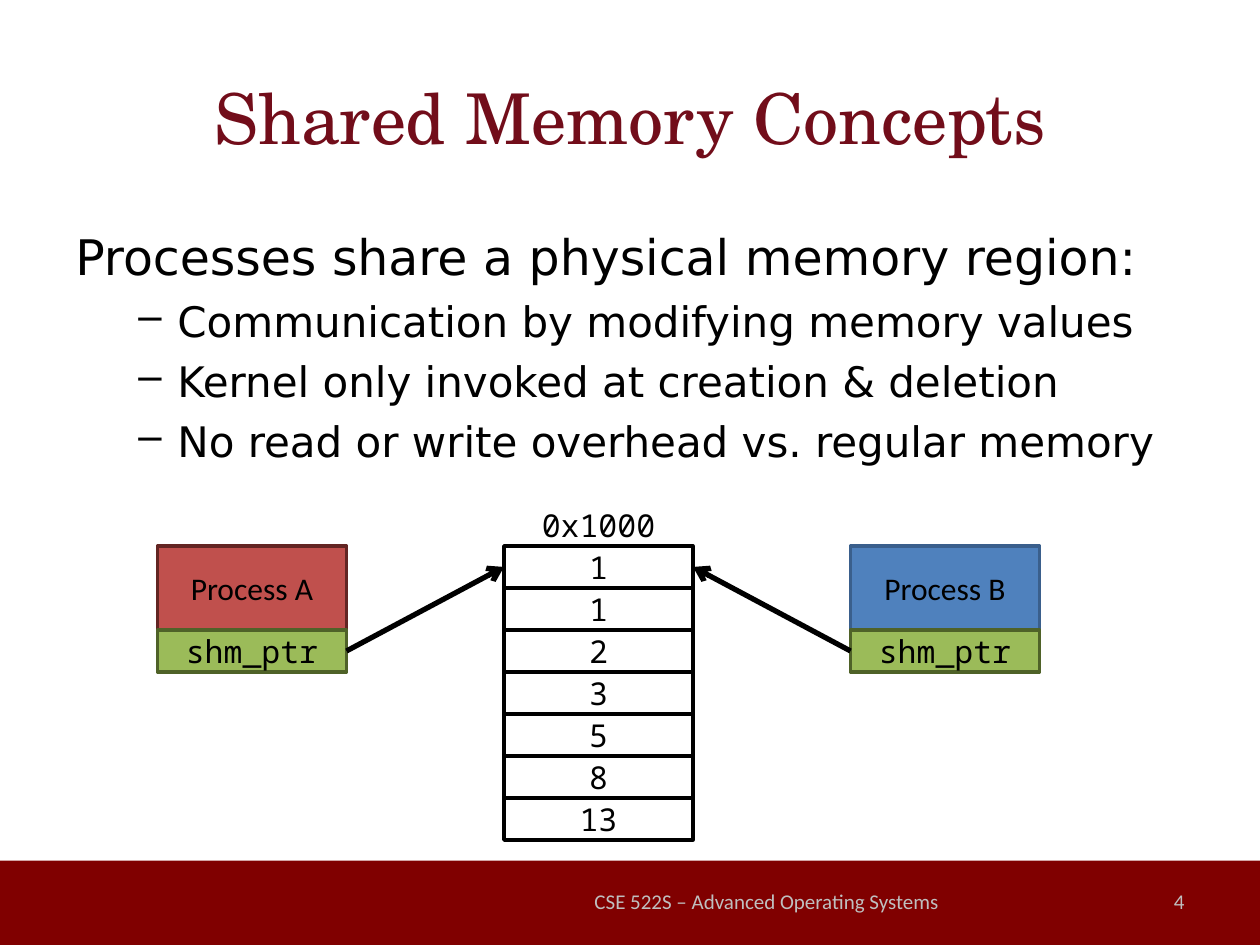
"""Build the slide on shared memory concepts."""
from dataclasses import dataclass
from typing import Any

from lxml.etree import SubElement
from pptx import Presentation
from pptx.dml.color import RGBColor
from pptx.enum.shapes import MSO_CONNECTOR, MSO_SHAPE
from pptx.enum.text import MSO_ANCHOR, PP_ALIGN
from pptx.oxml.ns import qn
from pptx.util import Inches, Pt

SANS = "DejaVu Sans"
MONO = "Noto Sans Mono"
PLAIN = "Calibri"
LEFT, MID, RIGHT = PP_ALIGN.LEFT, PP_ALIGN.CENTER, PP_ALIGN.RIGHT
STEP = 1 / 3
WIDE = 1.5
TOP = 4 + STEP


@dataclass
class Style:
    """Look of a run of text."""
    font: str
    size: float
    color: str = "000000"
    align: Any = MID


@dataclass
class Box:
    """Place, colours and wording of a rectangle."""
    left: float
    top: float
    width: float
    height: float
    fill: str
    edge: str = ""
    text: str = ""
    font: str = MONO


@dataclass
class Task:
    """A process that holds a pointer to the memory."""
    name: str
    left: float
    fill: str
    edge: str
    side: int


CELLS = ["1", "1", "2", "3", "5", "8", "13"]
TASKS = [
    Task("Process A", 1.25, "C0504D", "632523", 3),
    Task("Process B", 6.75, "4F81BD", "3A5F8C", 1),
]
POINTS = [
    "Communication by modifying memory values",
    "Kernel only invoked at creation & deletion",
    "No read or write overhead vs. regular memory",
]
LABELS = [
    ("Shared Memory Concepts", (0.5, 0.3, 9, 1.25), Style("TeX Gyre Schola", 40, "720D1A")),
    ("CSE 522S – Advanced Operating Systems", (4.5, 6.95, 3.17, 0.4), Style(PLAIN, 12, "BFBFBF")),
    ("4", (7.17, 6.95, 2.33, 0.4), Style(PLAIN, 12, "BFBFBF", RIGHT)),
    ("0x1000", (4, 4, WIDE, STEP), Style(MONO, 18)),
]


def hue(code: str) -> RGBColor:
    """Turn a hex string into a colour."""
    return RGBColor.from_string(code)


def apply(item: Any, form: dict[str, Any]) -> None:
    """Set each named value on the item."""
    for name, value in form.items():
        setattr(item, name, value)


def write(para: Any, text: str, style: Style) -> None:
    """Put styled text in a paragraph."""
    para.text = text
    para.alignment = style.align
    apply(para.font, {"name": style.font, "size": Pt(style.size)})
    para.font.color.rgb = hue(style.color)


def frame(shape: Any, anchor: Any = MSO_ANCHOR.MIDDLE) -> Any:
    """Set up and return the text frame of a shape."""
    apply(shape.text_frame, {
        "word_wrap": True, "vertical_anchor": anchor,
        "margin_left": Inches(0.1), "margin_right": Inches(0.1),
        "margin_top": Inches(0.05), "margin_bottom": Inches(0.05),
    })
    return shape.text_frame


def label(shapes: Any, text: str, spot: tuple, style: Style) -> None:
    """Add a one-line text box."""
    box = shapes.add_textbox(*map(Inches, spot))
    write(frame(box).paragraphs[0], text, style)


def block(shapes: Any, box: Box) -> Any:
    """Add a filled rectangle with its text."""
    spot = map(Inches, (box.left, box.top, box.width, box.height))
    shape = shapes.add_shape(MSO_SHAPE.RECTANGLE, *spot)
    shape.shadow.inherit = False
    shape.fill.solid()
    shape.fill.fore_color.rgb = hue(box.fill)
    if box.edge:
        shape.line.color.rgb = hue(box.edge)
        shape.line.width = Pt(2)
    else:
        shape.line.fill.background()
    if box.text:
        write(frame(shape).paragraphs[0], box.text, Style(box.font, 18))
    return shape


def body(shapes: Any) -> None:
    """Add the lead sentence and its dashed points."""
    box = shapes.add_textbox(*map(Inches, (0.5, 1.75, 9, 2.25)))
    text = frame(box, MSO_ANCHOR.TOP)
    write(text.paragraphs[0], "Processes share a physical memory region:", Style(SANS, 28, align=LEFT))
    for point in POINTS:
        para = text.add_paragraph()
        props = para._p.get_or_add_pPr()
        props.set("marL", str(Inches(0.81)))
        props.set("indent", str(Inches(-0.31)))
        SubElement(props, qn("a:buChar"), char="–")
        apply(para, {"level": 1, "space_before": Pt(5.5)})
        write(para, point, Style(SANS, 24, align=LEFT))


def arrow(shapes: Any, start: Any, end: Any, side: int) -> None:
    """Join one side of a box to the facing side of another."""
    line = shapes.add_connector(MSO_CONNECTOR.STRAIGHT, 0, 0, 0, 0)
    line.begin_connect(start, side)
    line.end_connect(end, 4 - side)
    line.line.color.rgb = hue("000000")
    line.line.width = Pt(3)
    SubElement(line.line._get_or_add_ln(), qn("a:tailEnd"), type="arrow")
    SubElement(line._element.spPr, qn("a:effectLst"))


def task(shapes: Any, item: Task) -> Any:
    """Add a process and return its pointer box."""
    group = shapes.add_group_shape().shapes
    block(group, Box(item.left, TOP, WIDE, 2 * STEP, item.fill, item.edge, item.name, PLAIN))
    return block(group, Box(item.left, 5, WIDE, STEP, "9BBB59", "4F6228", "shm_ptr"))


def main() -> None:
    """Draw the slide and save it."""
    deck = Presentation()
    apply(deck, {"slide_width": Inches(10), "slide_height": Inches(7.5)})
    shapes = deck.slides.add_slide(deck.slide_layouts[6]).shapes
    block(shapes, Box(0, 6.83, 10, 0.67, "800000"))
    body(shapes)
    ptrs = [task(shapes, item) for item in TASKS]
    stack = shapes.add_group_shape().shapes
    cells = [
        block(stack, Box(4, TOP + row * STEP, WIDE, STEP, "FFFFFF", "000000", text))
        for row, text in enumerate(CELLS)
    ]
    for item, ptr in zip(TASKS, ptrs):
        arrow(shapes, ptr, cells[0], item.side)
    for text, spot, style in LABELS:
        label(shapes, text, spot, style)
    deck.save("out.pptx")


if __name__ == "__main__":
    main()
